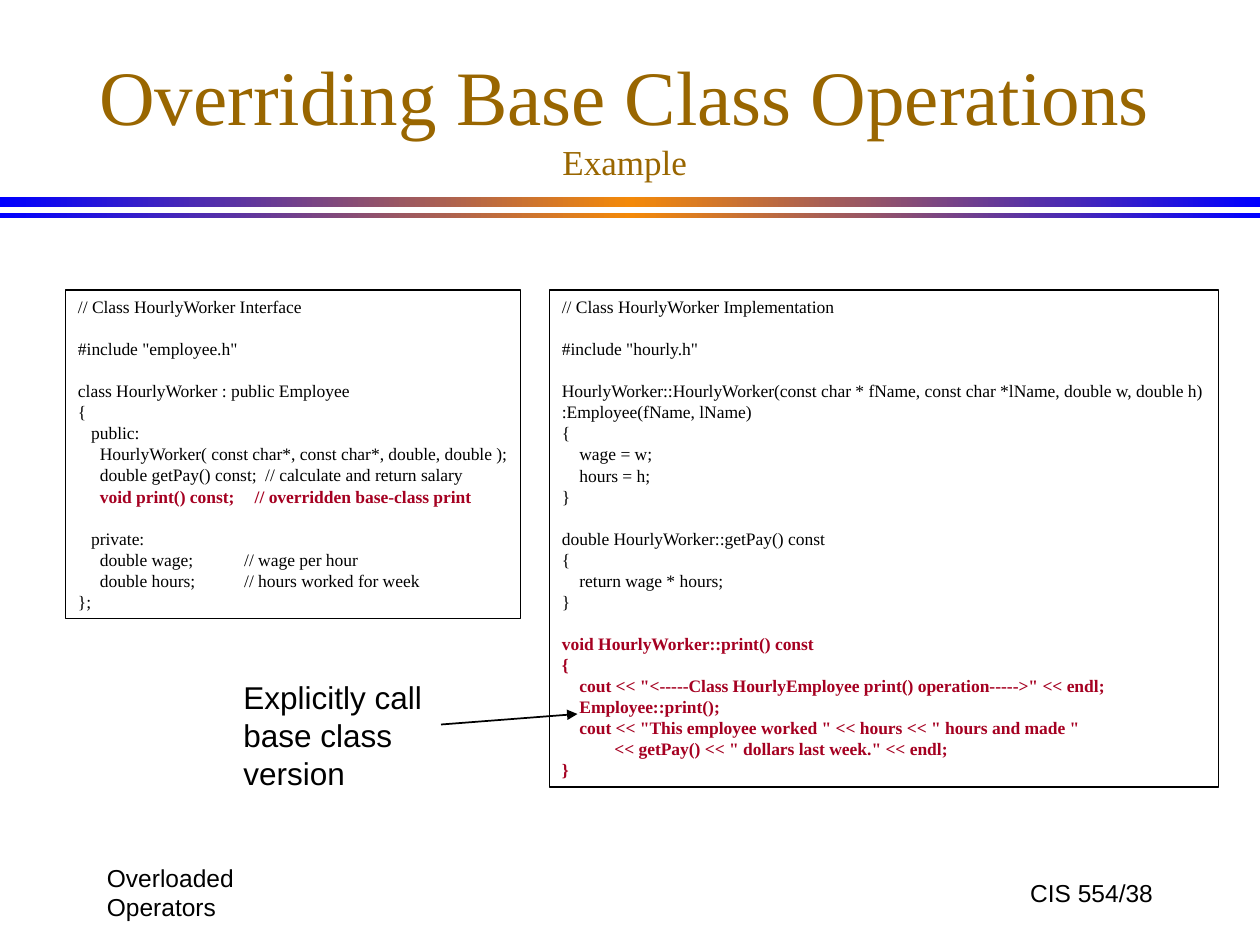
from lxml.etree import SubElement
from pptx import Presentation
from pptx.dml.color import RGBColor
from pptx.enum.shapes import MSO_CONNECTOR, MSO_SHAPE
from pptx.enum.text import MSO_ANCHOR, PP_ALIGN
from pptx.oxml.ns import qn
from pptx.util import Pt

COLORS = {
    "text": "000000",
    "title": "996600",
    "override": "A50021",
    "bar_edge": "0000FF",
    "bar_middle": "F38909",
}
SERIF, SANS = "Times New Roman", "Arial"
CODE_SIZE = 10
BLANK_LINE = 12

# Code lines: a leading "+" marks overriding code, "" opens a gap,
# and tabs step through the stops of the panel.
INTERFACE = [
    "// Class HourlyWorker Interface",
    "",
    '#include "employee.h"',
    "",
    "class HourlyWorker : public Employee",
    "{",
    "\tpublic:",
    "\t\tHourlyWorker( const char*, const char*, double, double );",
    "\t\tdouble getPay() const;\t// calculate and return salary",
    "+\t\tvoid print() const;\t\t// overridden base-class print",
    "",
    "\tprivate:",
    "\t\tdouble wage;\t// wage per hour",
    "\t\tdouble hours;\t// hours worked for week",
    "};",
]
IMPLEMENTATION = [
    "// Class HourlyWorker Implementation",
    "",
    '#include "hourly.h"',
    "",
    "HourlyWorker::HourlyWorker(const char * fName, const char *lName, double w, double h)",
    ":Employee(fName, lName)",
    "{",
    "\twage = w;",
    "\thours = h;",
    "}",
    "",
    "double HourlyWorker::getPay() const",
    "{",
    "\treturn wage * hours;",
    "}",
    "",
    "+void HourlyWorker::print() const",
    "+{",
    '+\tcout << "<-----Class HourlyEmployee print() operation----->" << endl;',
    "+\tEmployee::print();",
    '+\tcout << "This employee worked " << hours << " hours and made "',
    '+\t\t<< getPay() << " dollars last week." << endl;',
    "+}",
]


def rgb(name):
    return RGBColor.from_string(COLORS[name])


def set_font(font, size, name, color="text", bold=False):
    font.size, font.name, font.bold = Pt(size), name, bold
    font.color.rgb = rgb(color)


def add_text(slide, box, text, size, name, color="text",
             align=PP_ALIGN.LEFT, anchor=MSO_ANCHOR.TOP):
    tf = slide.shapes.add_textbox(*map(Pt, box)).text_frame
    tf.word_wrap = True
    tf.vertical_anchor = anchor
    p = tf.paragraphs[0]
    p.text, p.alignment = text, align
    set_font(p.font, size, name, color)
    return p


def add_bar(slide, top, height):
    sp = slide.shapes.add_shape(MSO_SHAPE.RECTANGLE, 0, Pt(top), Pt(720), Pt(height))
    sp.shadow.inherit = False
    sp.line.fill.background()
    sp.fill.gradient()
    sp.fill.gradient_angle = 0
    stops = sp._element.spPr.find(".//" + qn("a:gsLst"))
    stops.clear()
    for pos, color in ((0, "bar_edge"), (50, "bar_middle"), (100, "bar_edge")):
        gs = SubElement(stops, qn("a:gs"), pos=str(pos * 1000))
        SubElement(gs, qn("a:srgbClr"), val=COLORS[color])


def add_tabs(p, stops):
    tabs = SubElement(p._p.get_or_add_pPr(), qn("a:tabLst"))
    for stop in stops:
        SubElement(tabs, qn("a:tab"), pos=str(Pt(stop)), algn="l")


def add_code(slide, box, lines, stops):
    sp = slide.shapes.add_shape(MSO_SHAPE.RECTANGLE, *map(Pt, box))
    sp.shadow.inherit = False
    sp.fill.background()
    sp.line.color.rgb = rgb("text")
    sp.line.width = Pt(1)
    tf = sp.text_frame
    tf.word_wrap = True
    tf.margin_right = 0
    tf.vertical_anchor = MSO_ANCHOR.TOP
    for i, line in enumerate(lines):
        if not line:
            continue
        p = tf.paragraphs[0] if i == 0 else tf.add_paragraph()
        override = line.startswith("+")
        p.text = line.removeprefix("+")
        p.alignment = PP_ALIGN.LEFT
        if i and not lines[i - 1]:
            p.space_before = Pt(BLANK_LINE)
        add_tabs(p, stops)
        set_font(p.font, CODE_SIZE, SERIF, "override" if override else "text", override)


def add_arrow(slide, start, end):
    line = slide.shapes.add_connector(MSO_CONNECTOR.STRAIGHT, *map(Pt, start + end))
    line.line.color.rgb = rgb("text")
    line.line.width = Pt(1)
    SubElement(line.line._get_or_add_ln(), qn("a:tailEnd"), type="triangle")
    SubElement(line._element.spPr, qn("a:effectLst"))


def main():
    prs = Presentation()
    prs.slide_width, prs.slide_height = Pt(720), Pt(540)
    slide = prs.slides.add_slide(prs.slide_layouts[6])

    # Double rule under the title
    add_bar(slide, 112.5, 5.8)
    add_bar(slide, 121.7, 2.9)

    # Footer
    add_text(slide, (54, 492, 150, 36), "Overloaded Operators", 14, SANS,
             anchor=MSO_ANCHOR.MIDDLE)
    add_text(slide, (516, 492, 150, 36), "CIS 554/38", 14, SANS,
             align=PP_ALIGN.RIGHT, anchor=MSO_ANCHOR.MIDDLE)

    # Title and subtitle
    p = add_text(slide, (48, 18, 618, 90), "Overriding Base Class Operations\vExample",
                 44, SERIF, "title", PP_ALIGN.CENTER, MSO_ANCHOR.BOTTOM)
    p.runs[-1].font.size = Pt(20)

    # Code panels
    add_code(slide, (37.5, 165.8, 260, 187.7), INTERFACE, (7.5, 12.5, 95, 101, 107))
    add_code(slide, (314, 165.8, 382.3, 283.9), IMPLEMENTATION, (10, 30))

    # Remark on the base class call
    add_text(slide, (132, 384, 126, 72), "Explicitly call base class version", 18, SANS)
    add_arrow(slide, (252, 414), (330, 408))

    prs.save("out.pptx")


if __name__ == "__main__":
    main()
